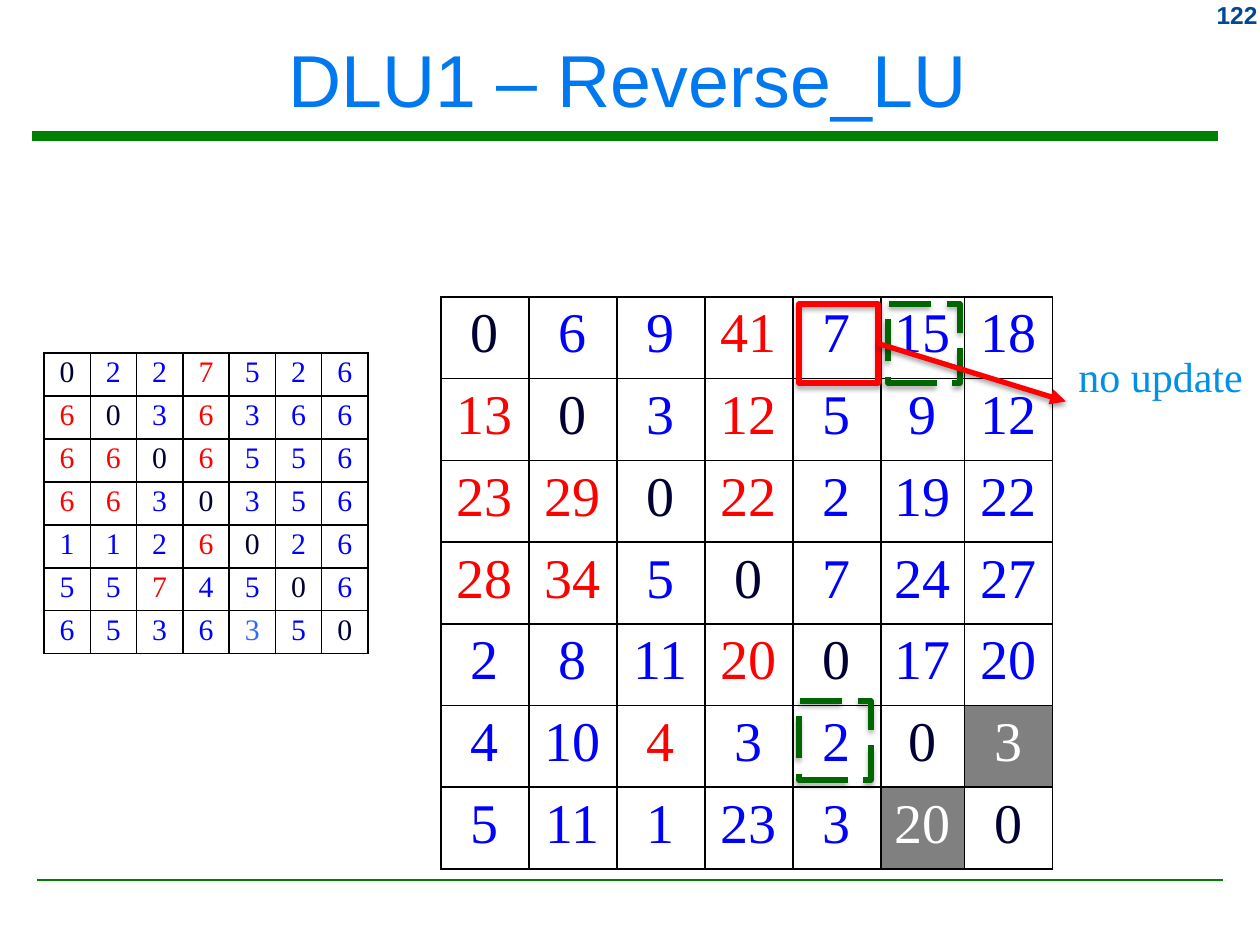
"""Build the DLU1 Reverse_LU slide with two matrices and their highlighted cells."""
from lxml import etree
from pptx import Presentation
from pptx import util as u
from pptx.dml.color import RGBColor
from pptx.enum import dml, shapes, text
from pptx.oxml.ns import qn

PX = 7257
SERIF = "Times New Roman"
rgb = RGBColor.from_string


def add_line(x1, y1, x2, y2, color, width):
    c = s.shapes.add_connector(shapes.MSO_CONNECTOR.STRAIGHT, x1 * PX, y1 * PX, x2 * PX, y2 * PX)
    c.line.color.rgb = rgb(color)
    c.line.width = u.Pt(width)
    etree.SubElement(c._element.spPr, qn("a:effectLst"))
    return c


def add_shadow(shape, alpha, dist):
    effects = shape._element.spPr.find(qn("a:effectLst"))
    shadow = etree.SubElement(effects, qn("a:outerShdw"), blurRad=str(u.Pt(3.1)),
                              dist=str(u.Pt(dist)), dir="5400000", rotWithShape="0")
    black = etree.SubElement(shadow, qn("a:srgbClr"), val="000000")
    etree.SubElement(black, qn("a:alpha"), val=str(alpha * 1000))


prs = Presentation()
prs.slide_width, prs.slide_height = u.Inches(10), u.Inches(7.5)
s = prs.slides.add_slide(prs.slide_layouts[6])

add_line(32, 136, 1218, 136, "008000", 5.25)
add_line(37, 880, 1223, 880, "008000", 1)

distances = ["0 6 9 41r 7 15 18",
             "13r 0 3 12r 5 9 12",
             "23r 29r 0 22r 2 19 22",
             "28r 34r 5 0 7 24 27",
             "2 8 11 20r 0 17 20",
             "4 10 4r 3 2 0 3w",
             "5 11 1 23 3 20w 0"]
hops = ["0 2 2 7r 5 2 6",
        "6r 0 3 6r 3 6 6",
        "6r 6r 0 6r 5 5 6",
        "6r 6r 3 0 3 5 6",
        "1 1 2 6r 0 2 6",
        "5 5 7r 4 5 0 6",
        "6 5 3 6 3l 5 0"]
marks = {"r": "FF0000", "w": "FFFFFF", "l": "3366FF", "0": "000033"}

for rows, x, y, widths, height, size, pad_x, pad_y in [
        (distances, 441, 297, [88] * 5 + [84, 88], 572, 32, 11, 6),
        (hops, 44, 353, [46.3] * 7, 301, 17, 6, 3)]:
    table = s.shapes.add_table(7, 7, x * PX, y * PX, int(sum(widths) * PX), height * PX).table
    table.first_row = table.horz_banding = False
    for column, width in zip(table.columns, widths):
        column.width = int(width * PX)
    for i, row in enumerate(rows):
        for j, value in enumerate(row.split()):
            cell = table.cell(i, j)
            cell.margin_left = cell.margin_right = pad_x * PX
            cell.margin_top = cell.margin_bottom = pad_y * PX
            cell.fill.solid()
            cell.fill.fore_color.rgb = rgb("808080" if value.endswith("w") else "FFFFFF")
            p = cell.text_frame.paragraphs[0]
            p.alignment = text.PP_ALIGN.CENTER
            r = p.add_run()
            r.text = value.rstrip("rwl")
            r.font.size, r.font.name = u.Pt(size), SERIF
            mark = value if value == "0" else value[-1]
            r.font.color.rgb = rgb("0000FF" if mark.isdigit() and mark != value else
                                   marks.get(mark, "0000FF"))
            tcPr = cell._tc.get_or_add_tcPr()
            for k, side in enumerate(["lnL", "lnR", "lnT", "lnB"]):
                ln = etree.Element(qn("a:" + side), w=str(u.Pt(1)))
                fill = etree.SubElement(ln, qn("a:solidFill"))
                etree.SubElement(fill, qn("a:srgbClr"), val="000000")
                tcPr.insert(k, ln)

for words, x, y, w, h, size, font, color, bold, align, anchor, wrap in [
        ("122", 1155, -6, 115, 42, 14, "Arial", "004992", True, "RIGHT", "TOP", True),
        ("DLU1 – Reverse_LU", 10, 11, 1235, 134, 42, "Arial", "0078F0", False, "CENTER", "MIDDLE", True),
        ("no update", 1066, 344, 192, 115, 24, SERIF, "0090E5", False, "LEFT", "TOP", False)]:
    label = s.shapes.add_textbox(x * PX, y * PX, w * PX, h * PX)
    tf = label.text_frame
    tf.word_wrap = wrap
    tf.vertical_anchor = text.MSO_ANCHOR[anchor]
    p = tf.paragraphs[0]
    p.alignment = text.PP_ALIGN[align]
    r = p.add_run()
    r.text = words
    r.font.size, r.font.name, r.font.bold = u.Pt(size), font, bold
    r.font.color.rgb = rgb(color)

boxes = []
for x, y, w, color, dash in [(799, 304, 79, "FF0000", "SOLID"),
                             (799, 701, 72, "006600", "LONG_DASH"),
                             (888, 304, 72, "006600", "LONG_DASH")]:
    sp = s.shapes.add_shape(shapes.MSO_SHAPE.RECTANGLE, x * PX, y * PX, w * PX, 79 * PX)
    sp.fill.background()
    sp.line.color.rgb = rgb(color)
    sp.line.width = u.Pt(3)
    sp.line.dash_style = dml.MSO_LINE[dash]
    sp.shadow.inherit = False
    add_shadow(sp, 35, 1.8)
    boxes.append(sp)

arrow = add_line(878, 344, 1066, 401, "FF0000", 3)
arrow.begin_connect(boxes[0], 3)
arrow.end_connect(label, 1)
etree.SubElement(arrow.line._get_or_add_ln(), qn("a:tailEnd"), type="triangle")
add_shadow(arrow, 38, 1.6)

prs.save("out.pptx")
